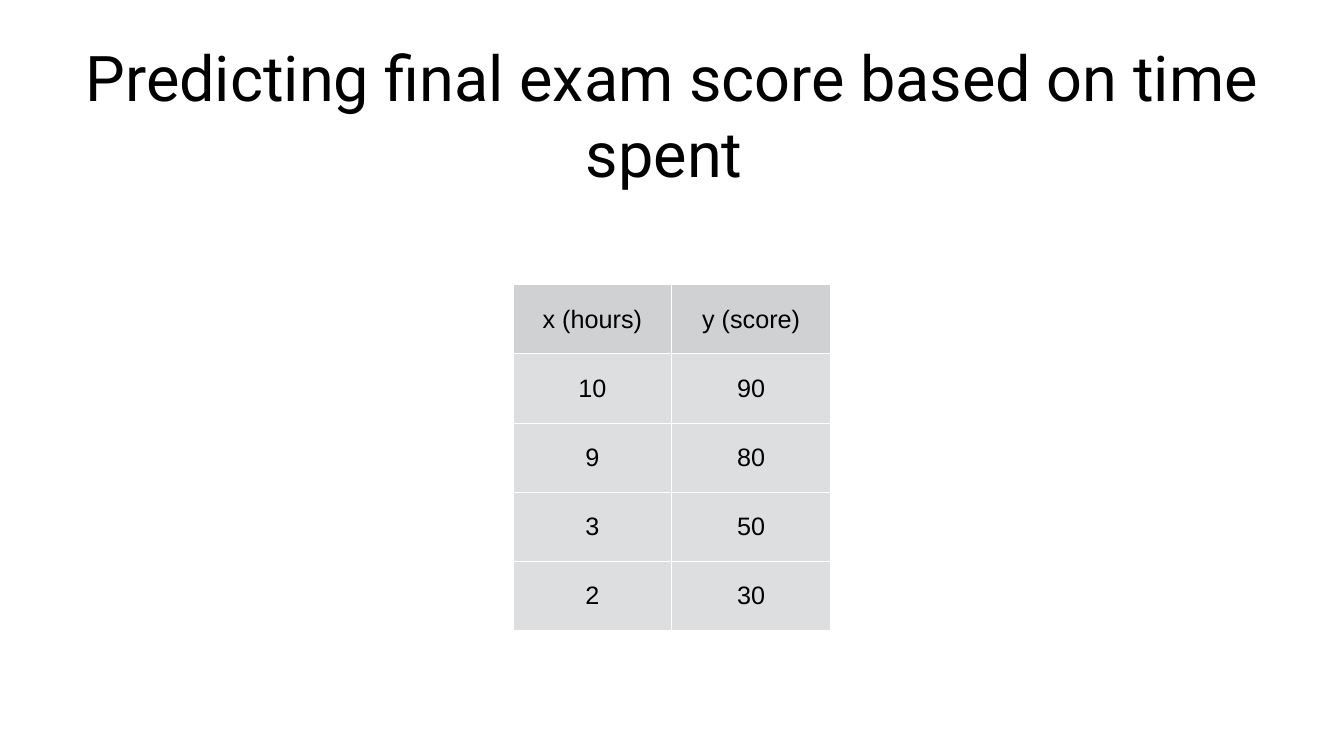
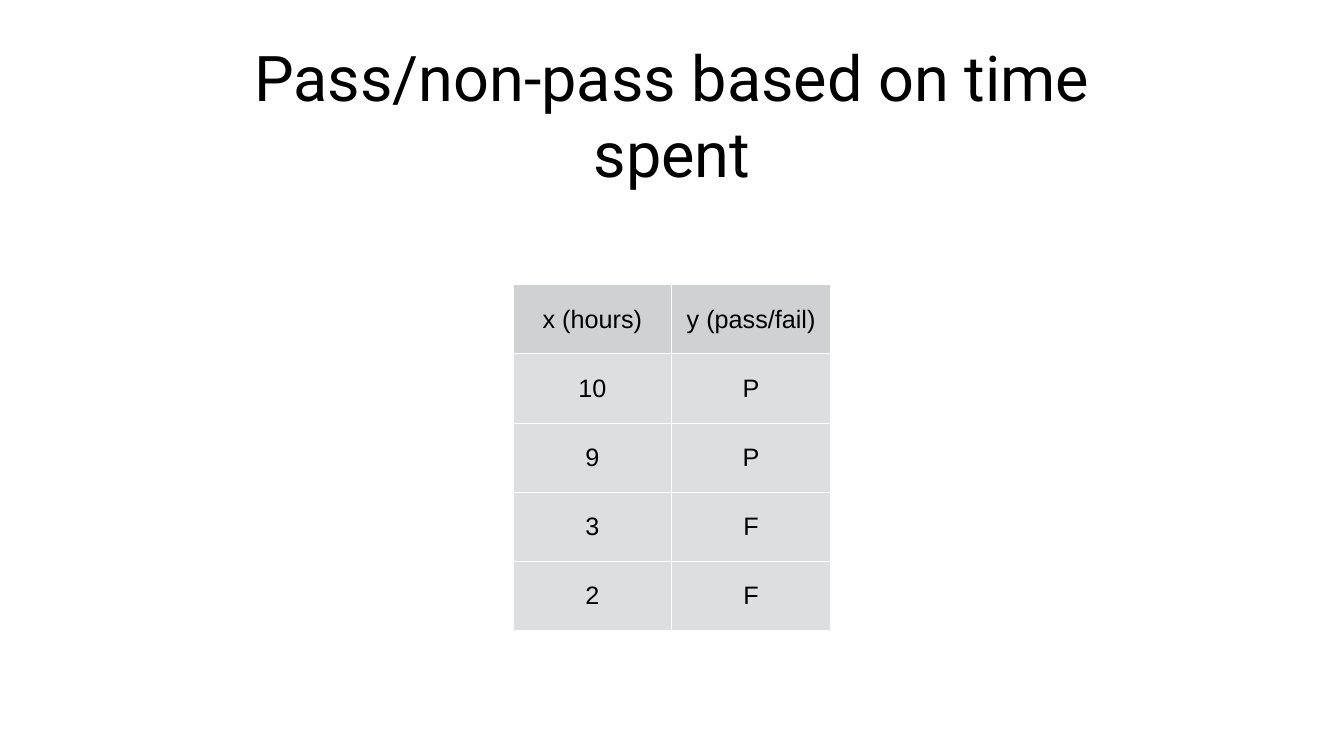
from dataclasses import dataclass

from lxml import etree
from pptx import Presentation
from pptx.dml.color import RGBColor
from pptx.enum.text import MSO_ANCHOR, MSO_AUTO_SIZE, PP_ALIGN
from pptx.oxml.ns import qn
from pptx.util import Inches, Pt

MIDDLE = MSO_ANCHOR.MIDDLE
CENTER = PP_ALIGN.CENTER
FIXED = MSO_AUTO_SIZE.NONE
TITLE_ONLY = 5


@dataclass(frozen=True)
class Theme:
    ink: str = "000000"
    paper: str = "FFFFFF"
    head: str = "D0D1D2"
    body: str = "DCDEE0"
    title_font: str = "Roboto"
    cell_font: str = "Arial"
    title_size: int = 90
    cell_size: int = 36
    rule: int = 1


THEME = Theme()
WIDTH, HEIGHT = 26.67, 15
GRID = (10.18, 5.65, 6.3, 6.85)

SLIDES = [
    ("Predicting final exam score based on time spent ", 26.71,
     [("x (hours)", "y (score)"), ("10", "90"), ("9", "80"), ("3", "50"), ("2", "30")]),
    ("Pass/non-pass based on time spent", 18.26,
     [("x (hours)", "y (pass/fail)"), ("10", "P"), ("9", "P"), ("3", "F"), ("2", "F")]),
]


def write(frame, text, font, size, color=THEME.ink, align=CENTER):
    para = frame.paragraphs[0]
    para.alignment = align
    run = para.add_run()
    run.text = text
    run.font.name = font
    run.font.size = Pt(size)
    run.font.color.rgb = RGBColor.from_string(color)


def inset(part, gap):
    part.margin_left = part.margin_right = Inches(gap)
    part.margin_top = part.margin_bottom = Inches(gap)
    part.vertical_anchor = MIDDLE


def border(cell):
    props = cell._tc.get_or_add_tcPr()
    for side in ("lnL", "lnR", "lnT", "lnB"):
        line = etree.SubElement(props, qn(f"a:{side}"), w=str(Pt(THEME.rule)))
        fill = etree.SubElement(line, qn("a:solidFill"))
        etree.SubElement(fill, qn("a:srgbClr"), val=THEME.paper)


def add_title(slide, text, box):
    title = slide.shapes.title
    title.left, title.top, title.width, title.height = map(Inches, box)
    frame = title.text_frame
    frame.word_wrap = True
    frame.auto_size = FIXED
    inset(frame, 0.08)
    write(frame, text, THEME.title_font, THEME.title_size)


def add_grid(slide, rows, box):
    left, top, width, height = map(Inches, box)
    table = slide.shapes.add_table(len(rows), len(rows[0]), left, top, width, height).table
    table.horz_banding = False
    for r, row in enumerate(rows):
        for c, text in enumerate(row):
            cell = table.cell(r, c)
            inset(cell, 0.06)
            border(cell)
            cell.fill.solid()
            cell.fill.fore_color.rgb = RGBColor.from_string(THEME.body if r else THEME.head)
            write(cell.text_frame, text, THEME.cell_font, THEME.cell_size)


def add_slide(deck, text, span, rows):
    slide = deck.slides.add_slide(deck.slide_layouts[TITLE_ONLY])
    back = slide.background.fill
    back.solid()
    back.fore_color.rgb = RGBColor.from_string(THEME.paper)
    add_title(slide, text, ((WIDTH - span) / 2, 0.39, span, 3.75))
    add_grid(slide, rows, GRID)


def main():
    deck = Presentation()
    deck.slide_width, deck.slide_height = Inches(WIDTH), Inches(HEIGHT)
    for text, span, rows in SLIDES:
        add_slide(deck, text, span, rows)
    deck.save("out.pptx")


if __name__ == "__main__":
    main()
